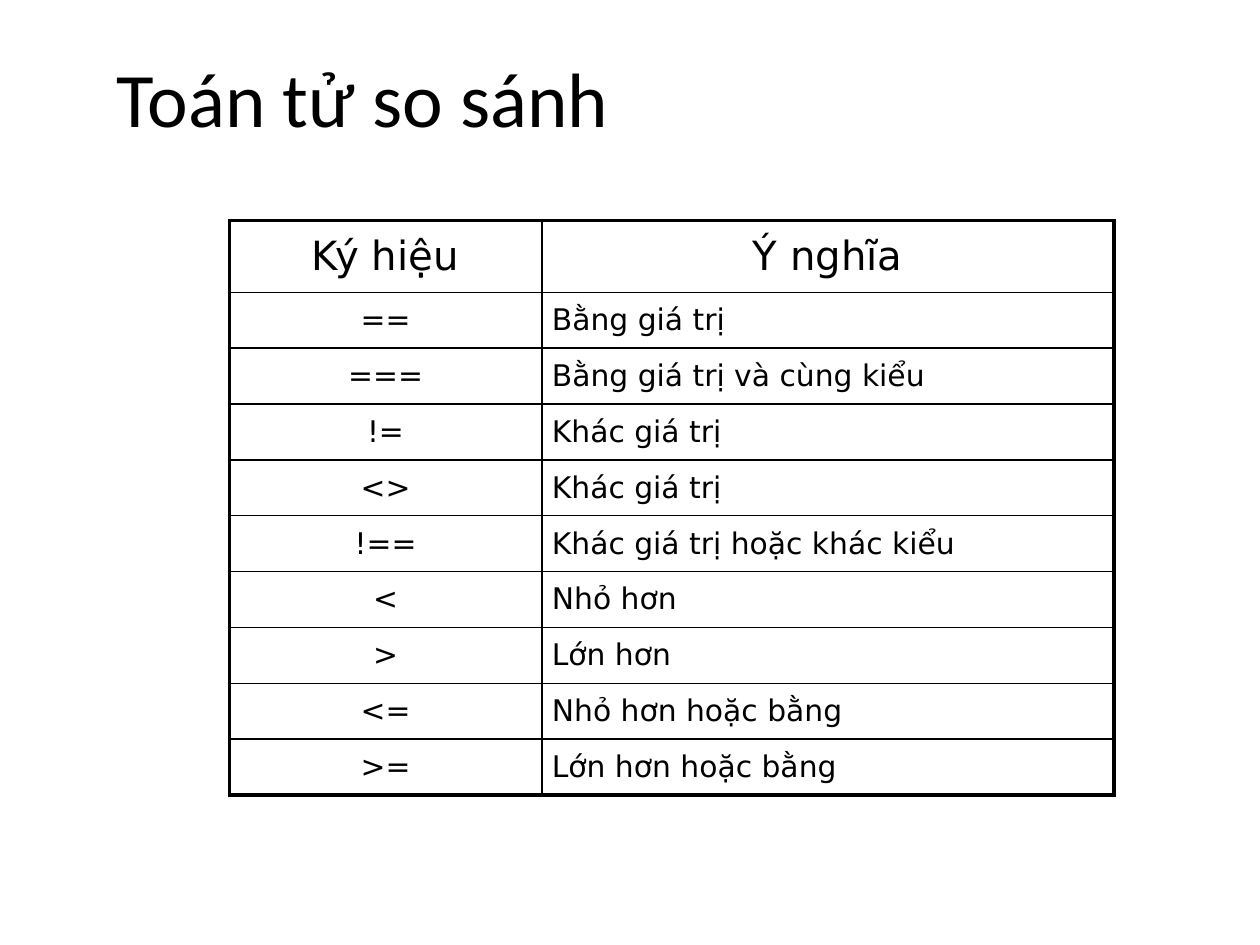
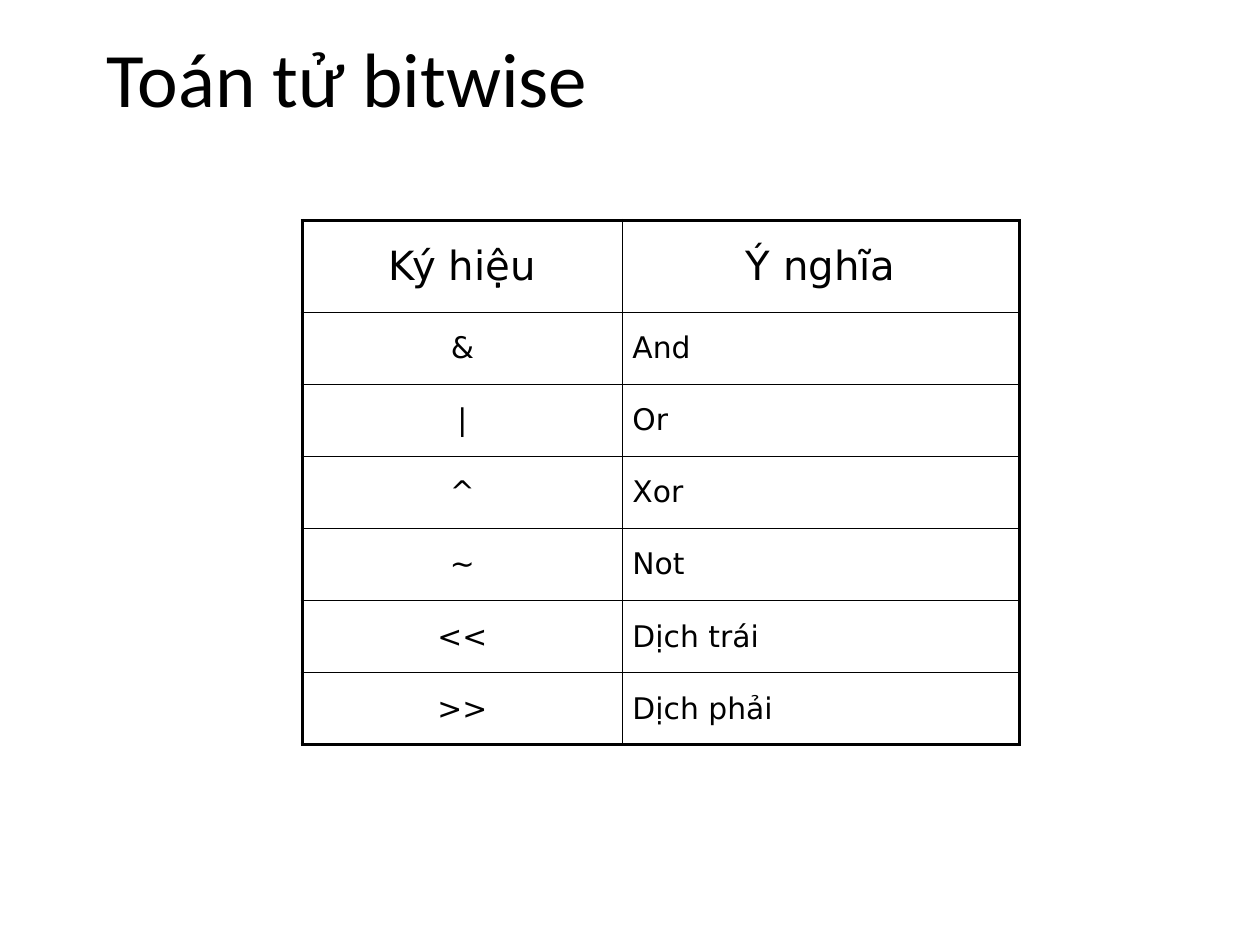
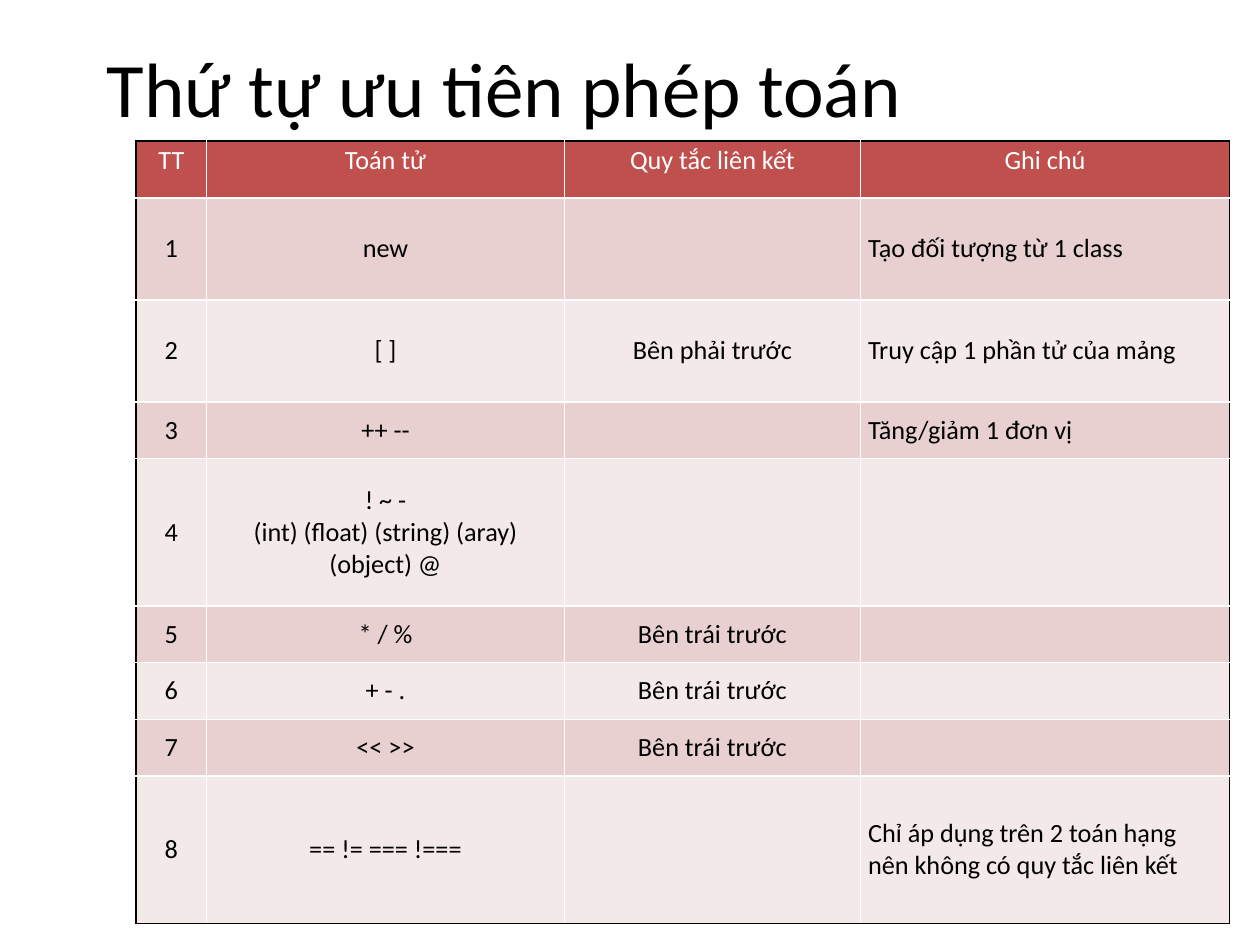
from dataclasses import dataclass

from lxml import etree
from pptx import Presentation
from pptx.dml.color import RGBColor
from pptx.enum.text import MSO_ANCHOR, PP_ALIGN
from pptx.oxml.ns import qn
from pptx.util import Inches, Pt

MIDDLE, TOP = MSO_ANCHOR.MIDDLE, MSO_ANCHOR.TOP
CENTER, LEFT = PP_ALIGN.CENTER, PP_ALIGN.LEFT

BLACK = RGBColor(0x00, 0x00, 0x00)
WHITE = RGBColor(0xFF, 0xFF, 0xFF)
RED = RGBColor(0xC0, 0x50, 0x4D)
ROSE = RGBColor(0xE8, 0xD0, 0xD0)
BLUSH = RGBColor(0xF4, 0xE9, 0xE9)


@dataclass
class Look:
    """Style of one kind of table."""
    font: str
    size: int
    head_size: int
    head_color: RGBColor
    head_anchor: MSO_ANCHOR
    pad: float
    rim: float          # width of the outer border
    grid: RGBColor      # colour of the inner borders
    fills: tuple = ()   # header fill, then the two band fills


PLAIN = Look("DejaVu Sans", 17, 23, BLACK, MIDDLE, 0.08, 2.25, BLACK)
BANDED = Look("Calibri", 15, 15, WHITE, TOP, 0.06, 1, WHITE,
              (RED, ROSE, BLUSH))


class Deck:
    def __init__(self):
        self.prs = Presentation()
        self.prs.slide_width = Inches(10)
        self.prs.slide_height = Inches(7.5)
        self.slide = None

    def add_slide(self, title, left, top):
        self.slide = self.prs.slides.add_slide(self.prs.slide_layouts[6])
        box = self.slide.shapes.add_textbox(
            Inches(left), Inches(top), Inches(9), Inches(0.88))
        frame = box.text_frame
        frame.word_wrap = True
        frame.vertical_anchor = MIDDLE
        self.add_text(frame.paragraphs[0], title, "Calibri", 44, BLACK)

    def add_text(self, para, text, font, size, color):
        for i, line in enumerate(text.split("\n")):
            if i:
                para.add_line_break()
            run = para.add_run()
            run.text = line
            run.font.name = font
            run.font.size = Pt(size)
            run.font.color.rgb = color

    def border(self, cell, side, color, width):
        props = cell._tc.get_or_add_tcPr()
        line = etree.SubElement(props, qn("a:ln" + side), w=str(Pt(width)))
        fill = etree.SubElement(line, qn("a:solidFill"))
        etree.SubElement(fill, qn("a:srgbClr"), val=str(color))

    def table(self, left, top, cols, rows, data, look):
        shape = self.slide.shapes.add_table(
            len(rows), len(cols), Inches(left), Inches(top),
            Inches(sum(cols)), Inches(sum(rows)))
        table = shape.table
        table.first_row = table.horz_banding = False
        for col, width in zip(table.columns, cols):
            col.width = Inches(width)
        for row, height in zip(table.rows, rows):
            row.height = Inches(height)
        last_row, last_col = len(rows) - 1, len(cols) - 1
        for r, texts in enumerate(data):
            for c, text in enumerate(texts):
                cell = table.cell(r, c)
                edges = {"L": c == 0, "R": c == last_col,
                         "T": r == 0, "B": r == last_row}
                for side, outer in edges.items():
                    self.border(cell, side, BLACK if outer else look.grid,
                                look.rim if outer else 1)
                self.fill_cell(cell, text, r, c == last_col, look)

    def fill_cell(self, cell, text, row, note, look):
        head = row == 0
        if look.fills:
            cell.fill.solid()
            band = 0 if head else 2 - row % 2
            cell.fill.fore_color.rgb = look.fills[band]
        else:
            cell.fill.background()
        cell.margin_left = cell.margin_right = Inches(look.pad)
        cell.margin_top = cell.margin_bottom = Inches(look.pad / 2)
        cell.vertical_anchor = look.head_anchor if head else MIDDLE
        para = cell.text_frame.paragraphs[0]
        para.alignment = LEFT if note and not head else CENTER
        if text:
            self.add_text(para, text, look.font,
                          look.head_size if head else look.size,
                          look.head_color if head else BLACK)


def even_rows(head, total, count):
    """Header height, then equal rows that fill the rest."""
    return [head] + [(total - head) / count] * count


SIGN_HEAD = ("Ký hiệu", "Ý nghĩa")

COMPARE = [
    SIGN_HEAD,
    ("==", "Bằng giá trị"),
    ("===", "Bằng giá trị và cùng kiểu"),
    ("!=", "Khác giá trị"),
    ("<>", "Khác giá trị"),
    ("!==", "Khác giá trị hoặc khác kiểu"),
    ("<", "Nhỏ hơn"),
    (">", "Lớn hơn"),
    ("<=", "Nhỏ hơn hoặc bằng"),
    (">=", "Lớn hơn hoặc bằng"),
]

BITWISE = [
    SIGN_HEAD,
    ("&", "And"),
    ("|", "Or"),
    ("^", "Xor"),
    ("~", "Not"),
    ("<<", "Dịch trái"),
    (">>", "Dịch phải"),
]

FROM_LEFT = "Bên trái trước"
ORDER = [
    ("TT", "Toán tử", "Quy tắc liên kết", "Ghi chú"),
    ("1", "new", "", "Tạo đối tượng từ 1 class"),
    ("2", "[ ]", "Bên phải trước", "Truy cập 1 phần tử của mảng"),
    ("3", "++ --", "", "Tăng/giảm 1 đơn vị"),
    ("4", "! ~ -\n(int) (float) (string) (aray) (object) @", "", ""),
    ("5", "* / %", FROM_LEFT, ""),
    ("6", "+ - .", FROM_LEFT, ""),
    ("7", "<< >>", FROM_LEFT, ""),
    ("8", "== != === !===", "",
     "Chỉ áp dụng trên 2 toán hạng nên không có quy tắc liên kết"),
]
LOW, MID, TALL = 0.45, 0.81, 1.17  # row heights of the order table


def main():
    deck = Deck()

    # Comparison operators
    deck.add_slide("Toán tử so sánh", 0.83, 0.33)
    deck.table(1.82, 1.75, [2.48, 4.54], even_rows(0.57, 4.56, 9),
               COMPARE, PLAIN)

    # Bitwise operators
    deck.add_slide("Toán tử bitwise", 0.75, 0.17)
    deck.table(2.4, 1.75, [2.54, 3.15], even_rows(0.73, 4.16, 6),
               BITWISE, PLAIN)

    # Operator precedence
    deck.add_slide("Thứ tự ưu tiên phép toán", 0.75, 0.25)
    deck.table(1.08, 1.12, [0.56, 2.84, 2.35, 2.93],
               [LOW, MID, MID, LOW, TALL, LOW, LOW, LOW, TALL],
               ORDER, BANDED)

    deck.prs.save("out.pptx")


if __name__ == "__main__":
    main()
